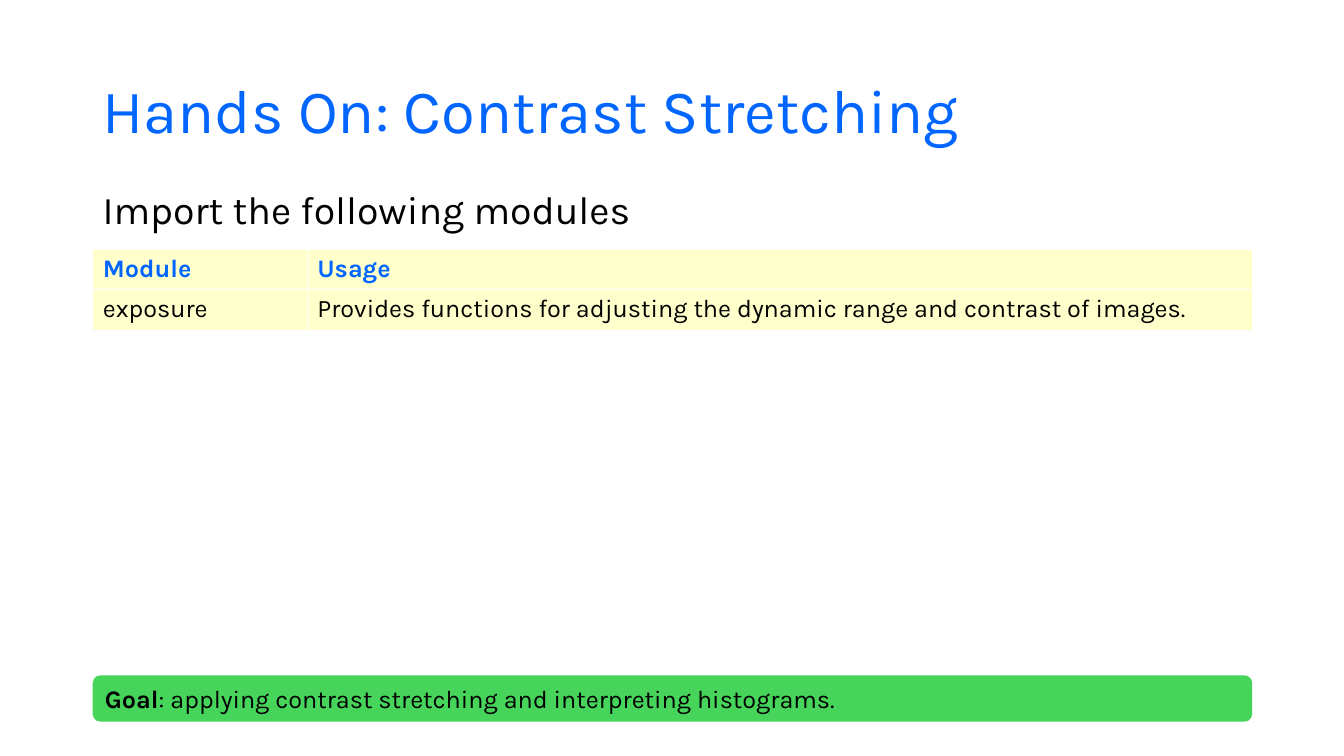
from dataclasses import dataclass

from lxml import etree
from pptx import Presentation
from pptx import util as u
from pptx.dml.color import RGBColor
from pptx.enum import shapes, text
from pptx.oxml import ns


@dataclass(frozen=True)
class Theme:
    """Colours, font and type sizes of the deck."""
    font: str = "Karla"
    accent: str = "0066FF"
    ink: str = "000000"
    cell: str = "FFFFCC"
    rule: str = "FFFFFF"
    goal: str = "47D45A"
    title: int = 44
    lead: int = 28
    body: int = 18


THEME = Theme()
WIDTH, HEIGHT = 13.33, 7.5
LEFT, SPAN = 0.92, 11.5
MODULES = [
    ("Module", "Usage"),
    ("exposure", "Provides functions for adjusting the dynamic range and contrast of images."),
]


def style(r, size, color, bold=False):
    """Set the font of one run."""
    r.font.name, r.font.size, r.font.bold = THEME.font, u.Pt(size), bold
    r.font.color.rgb = RGBColor.from_string(color)


def add_line(s, box, line, size, color, anchor, before=0):
    """Place one line of text in the box."""
    tf = s.shapes.add_textbox(*map(u.Inches, box)).text_frame
    tf.word_wrap, tf.vertical_anchor = True, anchor
    p = tf.paragraphs[0]
    p.text, p.line_spacing, p.space_before = line, 0.9, u.Pt(before)
    style(p.runs[0], size, color)


def add_borders(cell):
    """Rule all four sides of a cell, ahead of its fill."""
    tc_pr = cell._tc.get_or_add_tcPr()
    for i, side in enumerate(("lnL", "lnR", "lnT", "lnB")):
        ln = etree.Element(ns.qn(f"a:{side}"), w=str(u.Pt(1)))
        fill = etree.SubElement(ln, ns.qn("a:solidFill"))
        etree.SubElement(fill, ns.qn("a:srgbClr"), val=THEME.rule)
        tc_pr.insert(i, ln)


def add_modules(s, box, rows, shares):
    """Fill the box with a table whose columns take the given shares."""
    frame = s.shapes.add_table(len(rows), len(shares), *map(u.Inches, box))
    table = frame.table
    for column, share in zip(table.columns, shares):
        column.width = u.Inches(box[2] * share)
    for i, row in enumerate(rows):
        for j, value in enumerate(row):
            cell = table.cell(i, j)
            cell.text = value
            cell.fill.solid()
            cell.fill.fore_color.rgb = RGBColor.from_string(THEME.cell)
            add_borders(cell)
            header = i == 0
            style(cell.text_frame.paragraphs[0].runs[0], THEME.body,
                  THEME.accent if header else THEME.ink, header)


def add_goal(s, box, label, goal):
    """Draw the rounded goal bar with a bold label."""
    sp = s.shapes.add_shape(shapes.MSO_SHAPE.ROUNDED_RECTANGLE, *map(u.Inches, box))
    sp.shadow.inherit = False
    sp.fill.solid()
    sp.fill.fore_color.rgb = RGBColor.from_string(THEME.goal)
    sp.line.fill.background()
    tf = sp.text_frame
    tf.word_wrap, tf.vertical_anchor = True, text.MSO_ANCHOR.MIDDLE
    p = tf.paragraphs[0]
    p.alignment = text.PP_ALIGN.LEFT
    for part, bold in ((label, True), (goal, False)):
        r = p.add_run()
        r.text = part
        style(r, THEME.body, THEME.ink, bold)


def hands_on_slide(prs):
    """Build the hands-on slide from its four regions."""
    s = prs.slides.add_slide(prs.slide_layouts[6])
    add_line(s, (LEFT, 0.4, SPAN, 1.45), "Hands On: Contrast Stretching",
             THEME.title, THEME.accent, text.MSO_ANCHOR.MIDDLE)
    add_modules(s, (LEFT, 2.47, SPAN, 0.81), MODULES, (0.185, 0.815))
    add_line(s, (LEFT, 1.84, SPAN, 0.62), "Import the following modules",
             THEME.lead, THEME.ink, text.MSO_ANCHOR.TOP, before=10)
    add_goal(s, (LEFT, 6.7, SPAN, 0.46), "Goal",
             ": applying contrast stretching and interpreting histograms.")


def main():
    """Create and save the deck."""
    prs = Presentation()
    prs.slide_width, prs.slide_height = u.Inches(WIDTH), u.Inches(HEIGHT)
    hands_on_slide(prs)
    prs.save("out.pptx")


if __name__ == "__main__":
    main()
